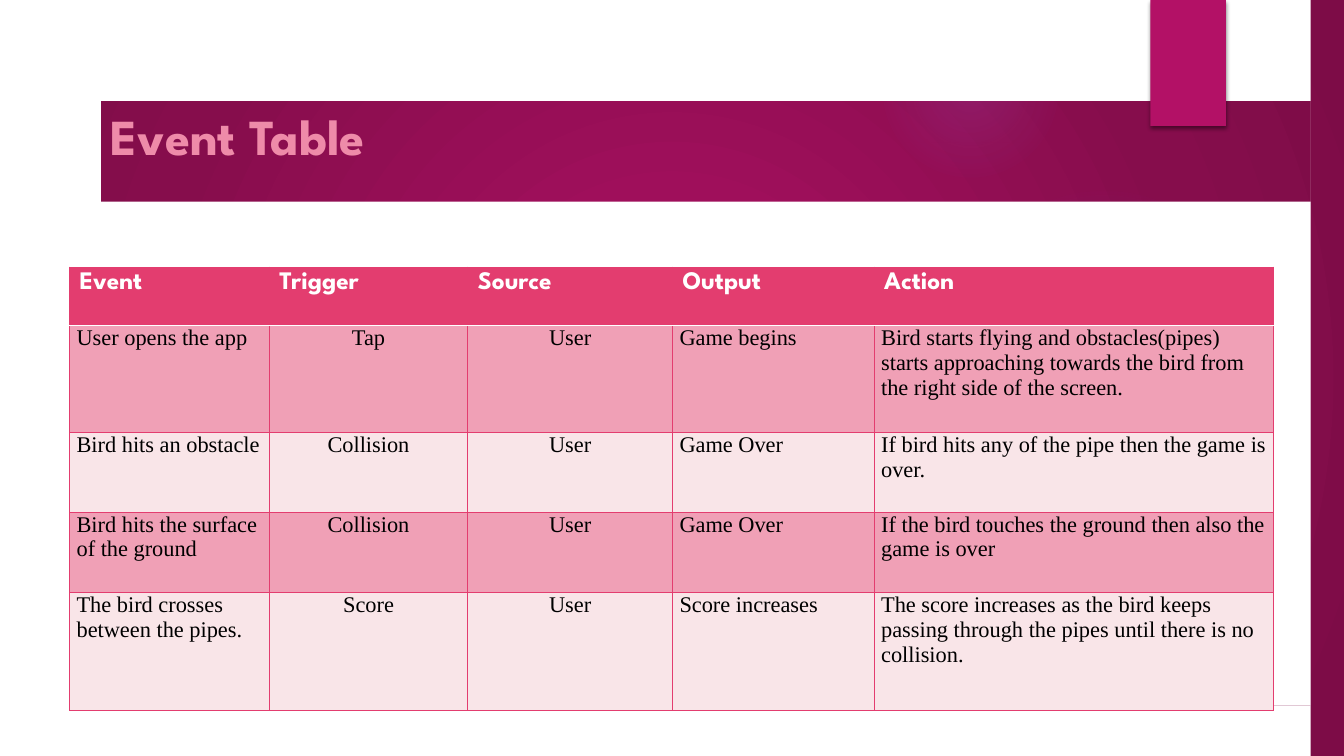
from lxml import etree
from pptx import Presentation
from pptx.dml.color import RGBColor
from pptx.enum.shapes import MSO_SHAPE
from pptx.enum.text import MSO_ANCHOR, PP_ALIGN
from pptx.oxml import parse_xml
from pptx.oxml.ns import nsdecls, qn
from pptx.util import Inches, Pt

RECTANGLE, OVAL = MSO_SHAPE.RECTANGLE, MSO_SHAPE.OVAL
MIDDLE = MSO_ANCHOR.MIDDLE
LEFT, CENTER = PP_ALIGN.LEFT, PP_ALIGN.CENTER

WHITE = RGBColor(0xFF, 0xFF, 0xFF)
BLACK = RGBColor(0x00, 0x00, 0x00)
MAGENTA = RGBColor(0xB3, 0x11, 0x66)
TITLE_PINK = RGBColor(0xEE, 0x8B, 0xA9)
HEADER_PINK = RGBColor(0xE3, 0x3D, 0x6F)
DARK_BAND = RGBColor(0xF0, 0xA0, 0xB6)
LIGHT_BAND = RGBColor(0xF9, 0xE5, 0xE8)
WINE = RGBColor(0x9F, 0x0F, 0x5B)
DEEP_WINE = RGBColor(0x86, 0x0D, 0x4C)
DARK_WINE = RGBColor(0x7D, 0x0C, 0x47)
VIOLET = RGBColor(0x9B, 0x6B, 0xF2)


def replace_fill_with_radial(parent, stops):
    """Swap the solid fill in parent for (position %, colour, opacity %) stops."""
    marks = "".join(
        f'<a:gs pos="{position * 1000}"><a:srgbClr val="{color}">'
        f'<a:alpha val="{opacity * 1000}"/></a:srgbClr></a:gs>'
        for position, color, opacity in stops)
    gradient = parse_xml(
        f'<a:gradFill {nsdecls("a")} rotWithShape="1"><a:gsLst>{marks}</a:gsLst>'
        '<a:path path="circle"><a:fillToRect l="50000" t="50000" r="50000" b="50000"/>'
        '</a:path></a:gradFill>')
    parent.replace(parent.find(qn("a:solidFill")), gradient)


def add_white_outline(page, *contours):
    """Draw closed contours, given in inches, as one white shape."""
    builder = page.shapes.build_freeform(*contours[0][0], scale=Inches(1))
    builder.add_line_segments(contours[0][1:])
    for contour in contours[1:]:
        builder.move_to(*contour[0])
        builder.add_line_segments(contour[1:])
    outline = builder.convert_to_shape()
    outline.shadow.inherit = False
    outline.fill.solid()
    outline.fill.fore_color.rgb = WHITE
    outline.line.fill.background()
    return outline


deck = Presentation()
deck.slide_width, deck.slide_height = Inches(13.33), Inches(7.5)
page = deck.slides.add_slide(deck.slide_layouts[6])

# Background
page.background.fill.solid()
replace_fill_with_radial(
    page.element.find(".//" + qn("p:bgPr")),
    [(0, WINE, 100), (23, WINE, 100), (69, DEEP_WINE, 100), (97, DARK_WINE, 100)])

# Glows on the banner: left, top, diameter, (position, opacity) stops
glows = [
    (9.41, 1.83, 3.08, [(0, 7), (36, 6), (69, 0)]),
    (8.75, 0.01, 1.75, [(0, 14), (36, 7), (73, 0)]),
]
for left, top, diameter, stops in glows:
    glow = page.shapes.add_shape(
        OVAL, Inches(left), Inches(top), Inches(diameter), Inches(diameter))
    glow.shadow.inherit = False
    glow.line.fill.background()
    glow.fill.solid()
    replace_fill_with_radial(
        glow.element.spPr, [(position, VIOLET, opacity) for position, opacity in stops])

# Translucent swoosh at the right end of the banner
swoosh = add_white_outline(page, [
    (9.3, 2.43), (9.69, 2.38), (10.1, 2.32), (10.53, 2.25), (10.98, 2.16),
    (11.44, 2.06), (11.9, 1.94), (12.36, 1.81), (12.83, 1.66), (12.89, 2.14),
    (12.03, 2.27), (11.2, 2.38), (10.3, 2.47), (9.34, 2.5)])
swoosh_color = swoosh.element.spPr.find(".//" + qn("a:srgbClr"))
etree.SubElement(swoosh_color, qn("a:alpha")).set("val", "20000")

# White panel whose top edge is a shallow bowl, then the frame around the slide
panel_left, panel_right, panel_bottom = 0.5, 12.84, 7
bowl_bottom, bowl_depth, bowl_steps = 2.48, 0.44, 48
bowl = []
for step in range(bowl_steps + 1):
    share = step / bowl_steps
    bowl.append((panel_left + share * (panel_right - panel_left),
                 bowl_bottom - bowl_depth * (2 * share - 1) ** 2))
add_white_outline(page, bowl + [(panel_right, panel_bottom), (panel_left, panel_bottom)])
add_white_outline(
    page,
    [(0, 0), (0, 7.5), (13.33, 7.5), (13.33, 0)],
    [(12.81, 6.98), (12.81, 0.52), (0.52, 0.52), (0.52, 6.98)])

# Bookmark tab
tab = page.shapes.add_shape(RECTANGLE, Inches(11.41), 0, Inches(0.75), Inches(1.25))
tab.shadow.inherit = False
tab.fill.solid()
tab.fill.fore_color.rgb = MAGENTA
tab.line.fill.background()
tab.element.spPr.find(qn("a:effectLst")).append(parse_xml(
    f'<a:outerShdw {nsdecls("a")} blurRad="{Pt(3)}" dist="{Pt(2)}" dir="5400000" '
    f'rotWithShape="0"><a:srgbClr val="{BLACK}"><a:alpha val="45000"/></a:srgbClr>'
    '</a:outerShdw>'))

# Title
title = page.shapes.add_textbox(Inches(1), Inches(0.87), Inches(10.83), Inches(0.95))
title.text_frame.word_wrap = True
title.text_frame.vertical_anchor = MIDDLE
span = title.text_frame.paragraphs[0].add_run()
span.text = "Event Table"
for name, value in {"name": "League Spartan", "size": Pt(36), "bold": True}.items():
    setattr(span.font, name, value)
span.font.color.rgb = TITLE_PINK

# Event table
rows = [
    ["Event", "Trigger", "Source", "Output", "Action"],
    ["User opens the app", "Tap", "User", "Game begins",
     "Bird starts flying and obstacles(pipes) starts approaching towards the bird "
     "from the right side of the screen."],
    ["Bird hits an obstacle", "Collision", "User", "Game Over",
     "If bird hits any of the pipe then the game is over."],
    ["Bird hits the surface of the ground", "Collision", "User", "Game Over",
     "If the bird touches the ground then also the game is over"],
    ["The bird crosses between the pipes.", "Score", "User", "Score increases",
     "The score increases as the bird keeps passing through the pipes until there "
     "is no collision."],
]
column_widths = [1.98, 1.97, 2.03, 2, 3.96]
row_heights = [0.58, 1.06, 0.79, 0.8, 1.17]
centered_columns = (1, 2)
header_font = {"name": "League Spartan", "size": Pt(18), "bold": True}
body_font = {"name": "Times New Roman", "size": Pt(16), "bold": False}
body_margins = {"margin_left": Inches(0.07), "margin_right": Inches(0.07),
                "margin_top": 0, "margin_bottom": 0}

table = page.shapes.add_table(
    len(rows), len(column_widths), Inches(0.69), Inches(2.65),
    Inches(sum(column_widths)), Inches(sum(row_heights))).table
for column, width in zip(table.columns, column_widths):
    column.width = Inches(width)
for row, height in zip(table.rows, row_heights):
    row.height = Inches(height)

for row_index, texts in enumerate(rows):
    is_header = row_index == 0
    band = HEADER_PINK if is_header else DARK_BAND if row_index % 2 else LIGHT_BAND
    for column_index, text in enumerate(texts):
        cell = table.cell(row_index, column_index)
        cell.fill.solid()
        cell.fill.fore_color.rgb = band
        if not is_header:
            for name, value in body_margins.items():
                setattr(cell, name, value)

        para = cell.text_frame.paragraphs[0]
        is_centered = not is_header and column_index in centered_columns
        para.alignment = CENTER if is_centered else LEFT
        span = para.add_run()
        span.text = text
        for name, value in (header_font if is_header else body_font).items():
            setattr(span.font, name, value)
        span.font.color.rgb = WHITE if is_header else BLACK

        # A white rule separates the header from the body
        white_side = {0: "B", 1: "T"}.get(row_index)
        for position, side in enumerate("LRTB"):
            color, weight = (WHITE, 1.5) if side == white_side else (HEADER_PINK, 0.75)
            cell.fill._xPr.insert(position, parse_xml(
                f'<a:ln{side} {nsdecls("a")} w="{Pt(weight)}"><a:solidFill>'
                f'<a:srgbClr val="{color}"/></a:solidFill></a:ln{side}>'))

deck.save("out.pptx")
